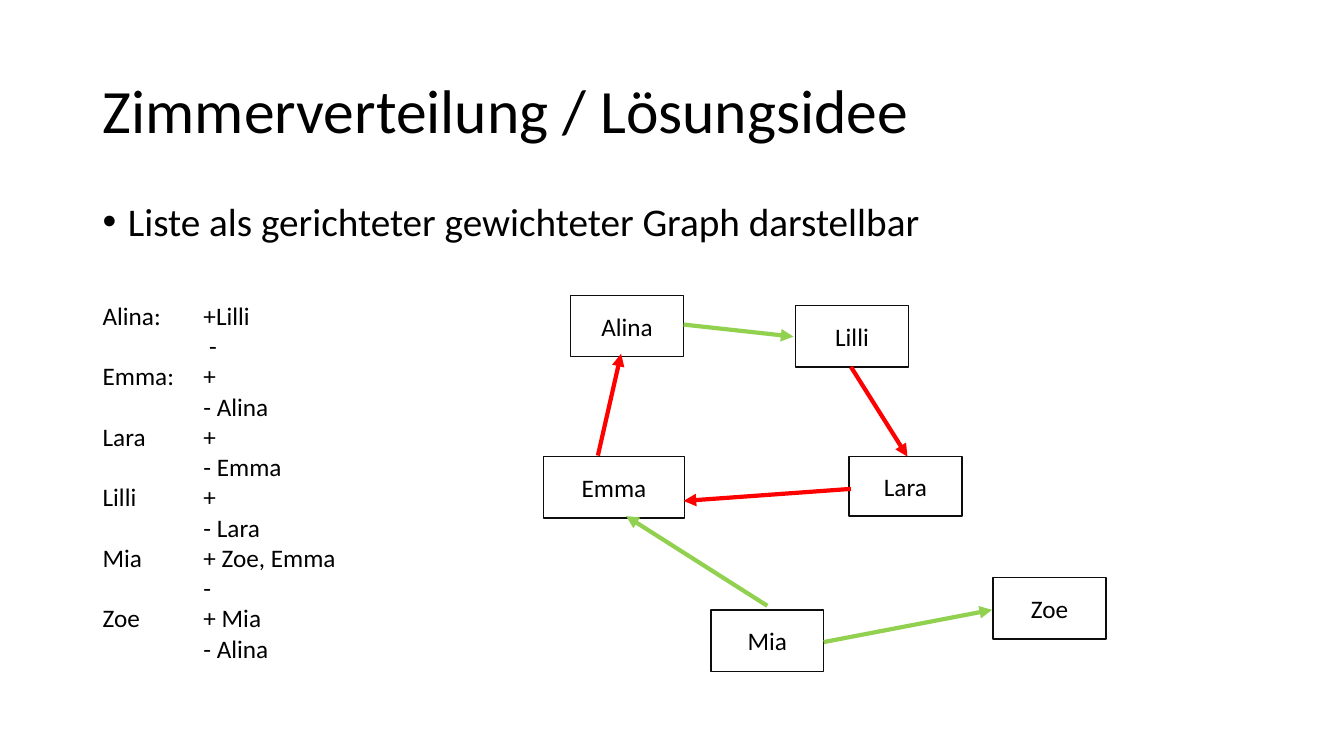
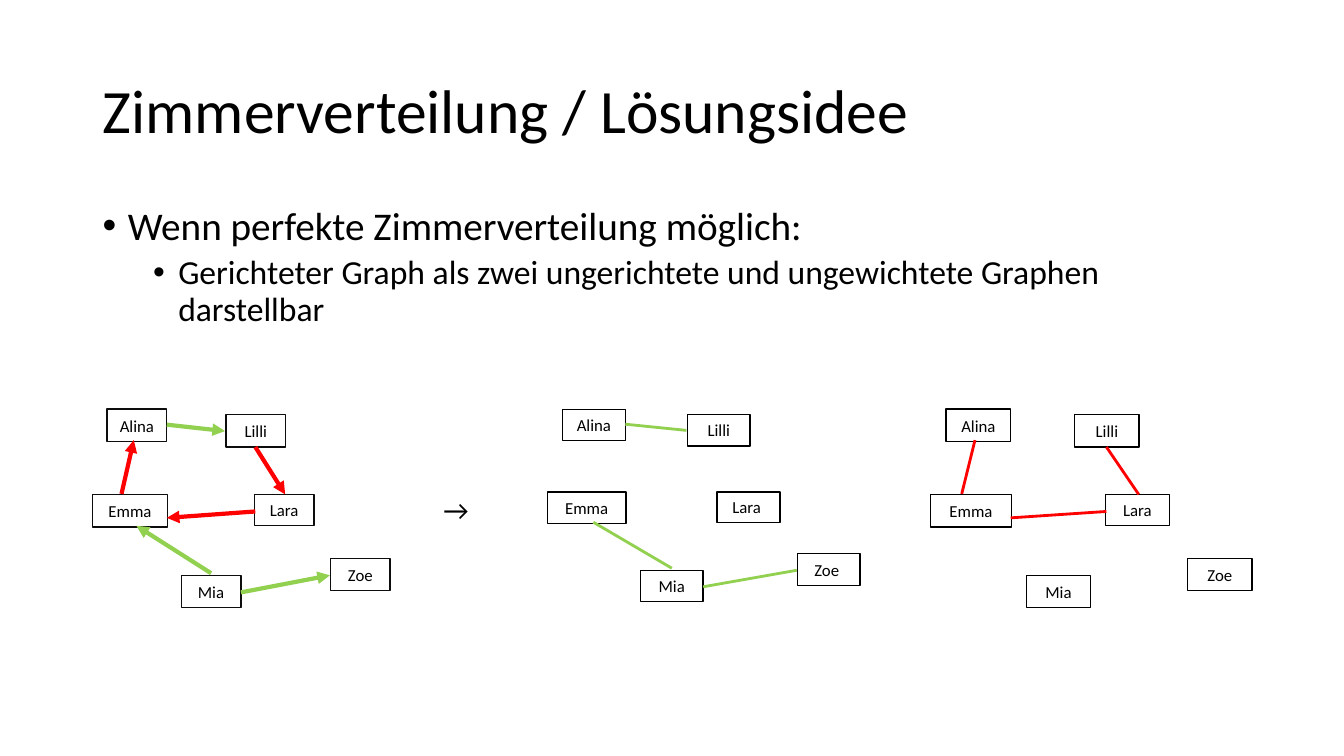
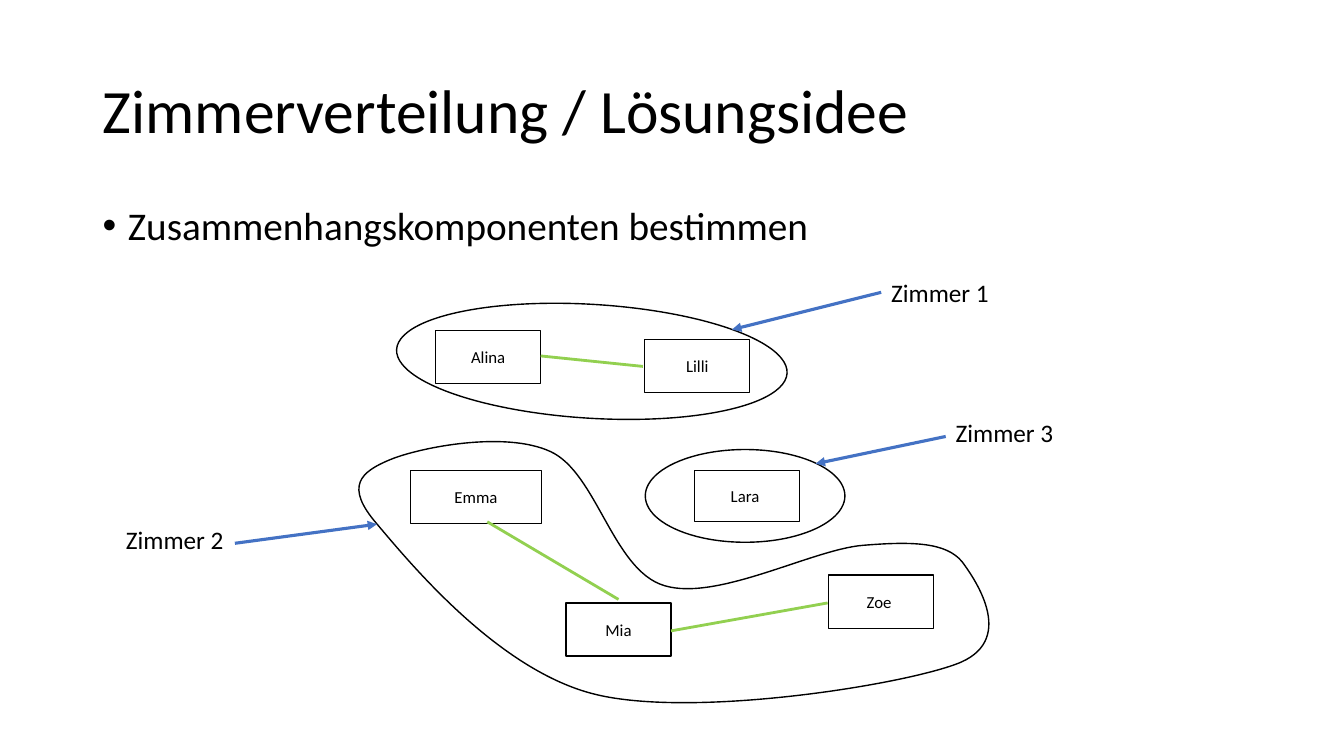
from dataclasses import dataclass

from lxml import etree
from pptx import Presentation
from pptx.dml.color import RGBColor
from pptx.enum import shapes, text
from pptx.oxml import ns
from pptx.util import Inches, Pt


@dataclass(frozen=True)
class Theme:
    font: str = "Calibri"
    ink: str = "000000"
    soft_ink: str = "0D0D0D"
    paper: str = "FFFFFF"
    wish: str = "92D050"
    refusal: str = "FF0000"
    pointer: str = "4472C4"
    title_size: float = 44
    bullet_sizes: tuple = (28, 24)
    symbol_size: float = 20
    label_size: float = 18
    small_size: float = 12
    outline: float = 1
    pointer_width: float = 2.25
    directed_width: float = 3
    plain_width: float = 2


THEME = Theme()
TITLE = "Zimmerverteilung / Lösungsidee"
HARD_SPACE = chr(160)

# Graph in full size, measured from its top left corner: left, top, width, height
FULL_WIDTH, FULL_HEIGHT = 5.58, 3.73
NODES = {
    "Alina": (0.27, 0, 1.12, 0.61),
    "Lilli": (2.5, 0.1, 1.12, 0.61),
    "Emma": (0, 1.6, 1.4, 0.61),
    "Lara": (3.03, 1.6, 1.12, 0.59),
    "Mia": (1.66, 3.12, 1.12, 0.61),
    "Zoe": (4.46, 2.8, 1.12, 0.61),
}
WISHES = [
    ((1.39, 0.29), (2.48, 0.41)),    # Alina to Lilli
    ((2.78, 3.44), (4.45, 3.12)),    # Mia to Zoe
    ((2.22, 3.08), (0.82, 2.19)),    # Mia to Emma
]
REFUSALS = [
    ((3.05, 0.71), (3.61, 1.6)),     # Lilli to Lara
    ((0.54, 1.59), (0.77, 0.58)),    # Emma to Alina
    ((3.05, 1.92), (1.39, 2.04)),    # Lara to Emma
]

WISH_LIST = [
    "Alina: \t+Lilli", "\t -",
    "Emma:\t+", "\t- Alina",
    "Lara\t+", "\t- Emma",
    "Lilli\t+", "\t- Lara",
    "Mia\t+ Zoe, Emma", "\t-",
    "Zoe\t+ Mia", "\t- Alina",
]

# Closed outline around Emma, Mia and Zoe: start, then control, control, end
ROOM_CORNERS = (3.56, 4.38), (9.81, 6.97)
ROOM_START = (3.87, 4.56)
ROOM_CURVES = [
    ((4.16, 4.44), (5.01, 4.27), (5.46, 4.48)),
    ((5.92, 4.69), (6.08, 5.66), (6.59, 5.81)),
    ((7.11, 5.97), (8.06, 5.45), (8.56, 5.41)),
    ((9.05, 5.37), (9.38, 5.38), (9.54, 5.57)),
    ((9.69, 5.77), (10.09, 6.37), (9.48, 6.59)),
    ((8.88, 6.81), (6.86, 7.12), (5.91, 6.89)),
    ((4.95, 6.66), (4.07, 5.59), (3.74, 5.2)),
    ((3.41, 4.82), (3.58, 4.68), ROOM_START),
]


class Deck:
    def __init__(self, theme):
        self.theme = theme
        self.prs = Presentation()
        self.prs.slide_width, self.prs.slide_height = Inches(13.33), Inches(7.5)
        self.slide = None

    # Text
    def style(self, paragraph, size):
        for run in paragraph.runs:
            run.font.name = self.theme.font
            run.font.size = Pt(size)
            run.font.color.rgb = RGBColor.from_string(self.theme.ink)

    def new_slide(self, title):
        self.slide = self.prs.slides.add_slide(self.prs.slide_layouts[5])
        heading = self.slide.shapes.title
        heading.left, heading.top = Inches(0.92), Inches(0.4)
        heading.width, heading.height = Inches(11.5), Inches(1.45)
        frame = heading.text_frame
        frame.text = title
        frame.auto_size = text.MSO_AUTO_SIZE.NONE
        frame.vertical_anchor = text.MSO_ANCHOR.MIDDLE
        paragraph = frame.paragraphs[0]
        paragraph.alignment = text.PP_ALIGN.LEFT
        paragraph.line_spacing = 0.9
        self.style(paragraph, self.theme.title_size)

    def textbox(self, lines, left, top, width, height, size, wrap=True):
        box = self.slide.shapes.add_textbox(Inches(left), Inches(top), Inches(width), Inches(height))
        frame = box.text_frame
        frame.word_wrap = wrap
        frame.text = "\n".join(lines)
        for paragraph in frame.paragraphs:
            self.style(paragraph, size)
        return frame

    def tabbed_list(self, lines, left, top, width, height, tab):
        frame = self.textbox(lines, left, top, width, height, self.theme.label_size)
        for paragraph in frame.paragraphs:
            stops = etree.SubElement(paragraph._p.get_or_add_pPr(), ns.qn("a:tabLst"))
            etree.SubElement(stops, ns.qn("a:tab"), pos=str(Inches(tab)), algn="l")

    def bullets(self, lines, height, spacing=0.9):
        """One bullet per line, each one level deeper than the line before."""
        frame = self.textbox(lines, 0.92, 2, 11.5, height, self.theme.bullet_sizes[0])
        for level, paragraph in enumerate(frame.paragraphs):
            paragraph.level = level
            paragraph.line_spacing = spacing
            paragraph.space_before = Pt(10 - 5 * level)
            self.style(paragraph, self.theme.bullet_sizes[level])
            props = paragraph._p.get_or_add_pPr()
            props.set("marL", str(Inches(0.25 + 0.5 * level)))
            props.set("indent", str(-Inches(0.25)))
            etree.SubElement(props, ns.qn("a:buFont")).set("typeface", "Arial")
            etree.SubElement(props, ns.qn("a:buChar")).set("char", "•")

    # Outlines and lines
    def outline(self, shape, color, fill=None):
        shape.shadow.inherit = False
        if fill:
            shape.fill.solid()
            shape.fill.fore_color.rgb = RGBColor.from_string(fill)
        else:
            shape.fill.background()
        shape.line.color.rgb = RGBColor.from_string(color)
        shape.line.width = Pt(self.theme.outline)

    def node(self, name, left, top, width, height, size, color):
        box = self.slide.shapes.add_shape(
            shapes.MSO_SHAPE.RECTANGLE, Inches(left), Inches(top), Inches(width), Inches(height))
        self.outline(box, color, self.theme.paper)
        box.text_frame.text = name
        box.text_frame.vertical_anchor = text.MSO_ANCHOR.MIDDLE
        paragraph = box.text_frame.paragraphs[0]
        paragraph.alignment = text.PP_ALIGN.CENTER
        self.style(paragraph, size)

    def ellipse(self, left, top, width, height, rotation=0):
        oval = self.slide.shapes.add_shape(
            shapes.MSO_SHAPE.OVAL, Inches(left), Inches(top), Inches(width), Inches(height))
        oval.rotation = rotation
        self.outline(oval, self.theme.ink)

    def curved_outline(self, corners, start, curves):
        """A freeform spanning the corners, whose segments become cubic curves."""
        (left, top), (right, bottom) = corners
        builder = self.slide.shapes.build_freeform(Inches(left), Inches(top))
        builder.add_line_segments([(Inches(right), Inches(bottom))])
        shape = builder.convert_to_shape()
        segments = next(shape._element.iter(ns.qn("a:path")))
        for segment in list(segments):
            segments.remove(segment)
        for tag, points in [("a:moveTo", [start])] + [("a:cubicBezTo", c) for c in curves]:
            segment = etree.SubElement(segments, ns.qn(tag))
            for x, y in points:
                etree.SubElement(segment, ns.qn("a:pt"),
                                 x=str(Inches(x - left)), y=str(Inches(y - top)))
        etree.SubElement(segments, ns.qn("a:close"))
        self.outline(shape, self.theme.ink)

    def line(self, start, end, color, width, arrow=False):
        connector = self.slide.shapes.add_connector(
            shapes.MSO_CONNECTOR.STRAIGHT, *(Inches(value) for value in (*start, *end)))
        connector.line.color.rgb = RGBColor.from_string(color)
        connector.line.width = Pt(width)
        props = connector._element.spPr
        if arrow:
            etree.SubElement(props.find(ns.qn("a:ln")), ns.qn("a:tailEnd")).set("type", "triangle")
        etree.SubElement(props, ns.qn("a:effectLst"))

    # Whole parts
    def graph(self, left, top, width, height, size, wishes=(), refusals=(),
              directed=False, spaced=()):
        """All girls as nodes, with the given edges, fitted to the given area."""
        theme = self.theme
        scale_x, scale_y = width / FULL_WIDTH, height / FULL_HEIGHT

        def place(point):
            return left + point[0] * scale_x, top + point[1] * scale_y

        for name, (x, y, node_width, node_height) in NODES.items():
            label = name + HARD_SPACE if name in spaced else name
            self.node(label, *place((x, y)), node_width * scale_x, node_height * scale_y, size,
                      theme.soft_ink if directed else theme.ink)
        edge_width = theme.directed_width if directed else theme.plain_width
        for color, edges in ((theme.refusal, refusals), (theme.wish, wishes)):
            for start, end in edges:
                self.line(place(start), place(end), color, edge_width, directed)

    def room_label(self, name, left, top, start, end):
        self.line(start, end, self.theme.pointer, self.theme.pointer_width, arrow=True)
        self.textbox([name], left, top, 1.18, 0.4, self.theme.label_size, wrap=False)


def main():
    deck = Deck(THEME)
    spaced = ("Lara", "Zoe")

    # Wish list as a directed graph
    deck.new_slide(TITLE)
    deck.bullets(["Liste als gerichteter gewichteter Graph darstellbar"], 0.5, spacing=0.8)
    deck.tabbed_list(WISH_LIST, 0.92, 2.93, 2.6, 3.74, tab=1)
    deck.graph(5.39, 2.93, FULL_WIDTH, FULL_HEIGHT, THEME.label_size,
               WISHES, REFUSALS, directed=True)

    # Directed graph split into two undirected ones
    deck.new_slide(TITLE)
    deck.bullets(["Wenn perfekte Zimmerverteilung möglich:",
                  "Gerichteter Graph als zwei ungerichtete und ungewichtete Graphen darstellbar"], 1.36)
    deck.graph(0.92, 4.06, 2.95, 1.97, THEME.small_size, WISHES, REFUSALS, directed=True)
    deck.graph(5.43, 4.06, 3.1, 1.91, THEME.small_size, wishes=WISHES, spaced=spaced)
    deck.graph(9.23, 4.06, 3.19, 1.97, THEME.small_size, refusals=REFUSALS)
    deck.textbox(["→"], 4.3, 4.84, 0.49, 0.44, THEME.symbol_size)

    # Connected components become rooms
    deck.new_slide(TITLE)
    deck.bullets(["Zusammenhangskomponenten bestimmen"], 0.61)
    deck.graph(4.07, 3.28, 5.19, 3.23, THEME.small_size, wishes=WISHES, spaced=spaced)
    deck.ellipse(3.93, 3.02, 3.88, 1.13, rotation=3.5)
    deck.room_label("Zimmer 1", 8.74, 2.7, (8.74, 2.9), (7.26, 3.27))
    deck.curved_outline(ROOM_CORNERS, ROOM_START, ROOM_CURVES)
    deck.room_label("Zimmer 2", 1.15, 5.15, (2.33, 5.39), (3.74, 5.2))
    deck.ellipse(6.4, 4.46, 1.98, 0.92)
    deck.room_label("Zimmer 3", 9.38, 4.09, (9.38, 4.33), (8.09, 4.6))

    deck.prs.save("out.pptx")


if __name__ == "__main__":
    main()
